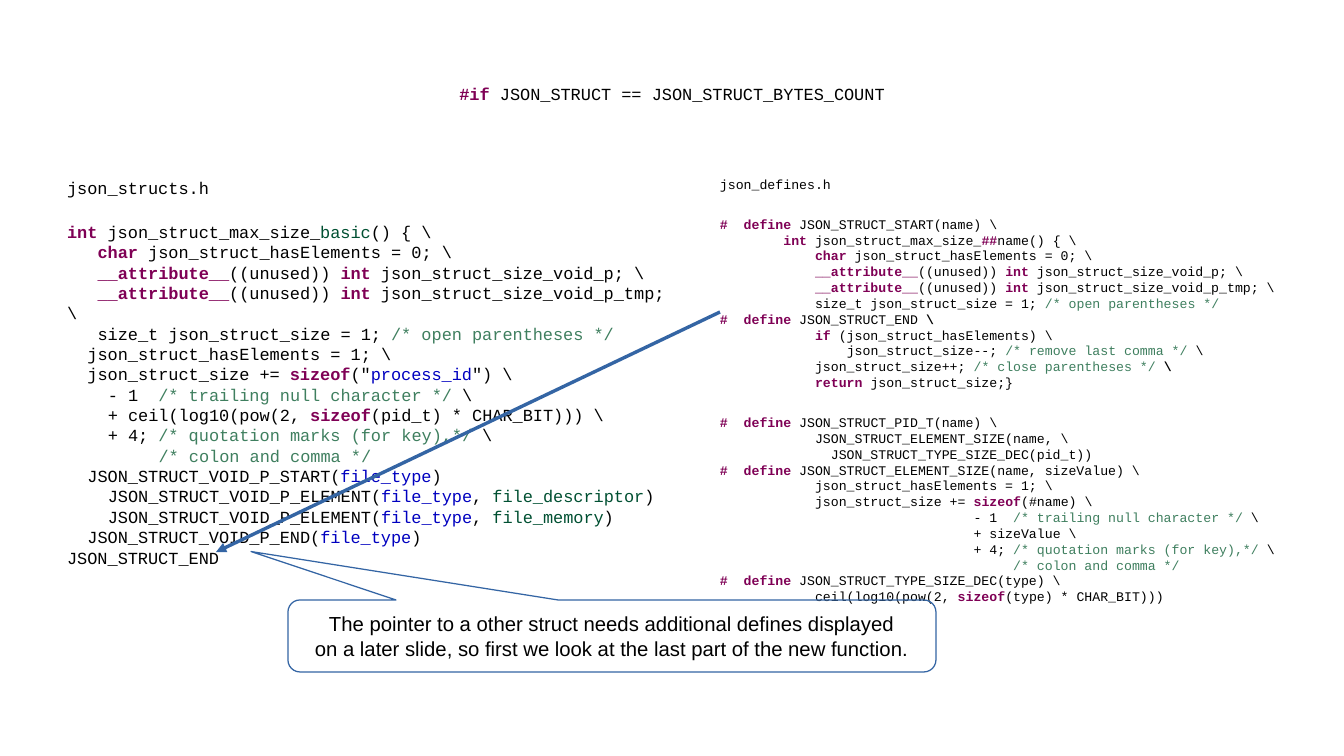
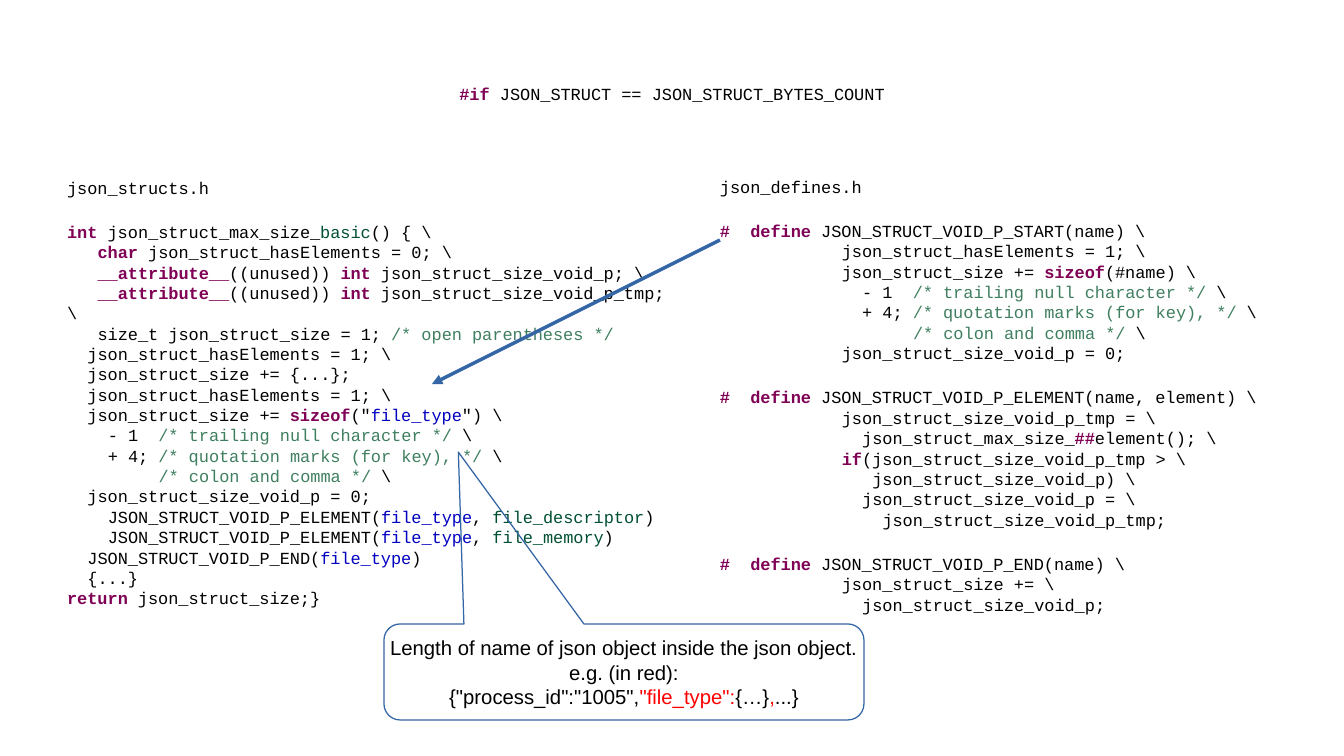
import dataclasses

import lxml.etree
import pptx
import pptx.dml.color
import pptx.enum.shapes
import pptx.enum.text
import pptx.oxml.ns
import pptx.util


@dataclasses.dataclass(frozen=True)
class Theme:
    ink: str = "000000"
    accent: str = "3465A4"
    code_font: str = "Courier New"
    note_font: str = "Arial"
    code_size: float = 10
    small_code_size: float = 7.8
    note_size: float = 12
    block_gap: float = 14.2
    mono_advance: float = 0.6
    corner: float = 0.167


@dataclasses.dataclass(frozen=True)
class Box:
    left: float
    top: float
    width: float
    height: float

    def point(self, across, down):
        return self.left + self.width * across, self.top + self.height * down

    def lengths(self):
        return [cells(n) for n in (self.left, self.top, self.width, self.height)]


THEME = Theme()
COLUMNS, ROWS = 28, 15.75
CELL = pptx.util.Cm(1)
TITLE_BOX = Box(1.4, 0.63, 25.2, 2.64)
STRUCTS_BOX = Box(1.4, 3.69, 12.6, 9.14)
DEFINES_BOX = Box(15, 3.67, 11.6, 9.14)

MARKS = {
    "`": ("7F0055", True),
    "@": ("0000C0", False),
    "^": ("005032", False),
    "~": ("3F7F5F", False),
    "$": (THEME.ink, True),
    "!": ("FF0000", False),
}

TITLE = "`#if` JSON_STRUCT == JSON_STRUCT_BYTES_COUNT"

FUNCTION_START = r"""json_structs.h

`int` json_struct_max_size_^basic^() { \
   `char` json_struct_hasElements = 0; \
   `__attribute__`((unused)) `int` json_struct_size_void_p; \
   `__attribute__`((unused)) `int` json_struct_size_void_p_tmp; \
   size_t json_struct_size = 1; ~/* open parentheses */~
  json_struct_hasElements = 1; \
"""

POINTER_ELEMENTS = r"""
    JSON_STRUCT_VOID_P_ELEMENT(@file_type@, ^file_descriptor^)
    JSON_STRUCT_VOID_P_ELEMENT(@file_type@, ^file_memory^)
  JSON_STRUCT_VOID_P_END(@file_type@)
"""

STRUCTS_PROCESS = FUNCTION_START + r"""  json_struct_size += `sizeof`("@process_id@") \
    - 1  ~/* trailing null character */~ \
    + ceil(log10(pow(2, `sizeof`(pid_t) * CHAR_BIT))) \
    + 4; ~/* quotation marks (for key),*/~ \
         ~/* colon and comma */~
  JSON_STRUCT_VOID_P_START(@file_type@)""" + POINTER_ELEMENTS + "JSON_STRUCT_END"

STRUCTS_FILE = FUNCTION_START + r"""  json_struct_size += {...};
  json_struct_hasElements = 1; \
  json_struct_size += `sizeof`("@file_type@") \
    - 1  ~/* trailing null character */~ \
    + 4; ~/* quotation marks (for key), */~ \
         ~/* colon and comma */~ \
  json_struct_size_void_p = 0;""" + POINTER_ELEMENTS + r"""  {...}
`return` json_struct_size;}"""

DEFINES_FILENAME = "json_defines.h"

DEFINE_START_END = r"""`#  define` JSON_STRUCT_START(name) \
        `int` json_struct_max_size_`##`name() { \
            `char` json_struct_hasElements = 0; \
            `__attribute__`((unused)) `int` json_struct_size_void_p; \
            `__attribute__`((unused)) `int` json_struct_size_void_p_tmp; \
            size_t json_struct_size = 1; ~/* open parentheses */~
`#  define` JSON_STRUCT_END $\$
            `if` (json_struct_hasElements) \
                json_struct_size--; ~/* remove last comma */~ \
            json_struct_size++; ~/* close parentheses */~ $\$
            `return` json_struct_size;}"""

DEFINE_PID = r"""`#  define` JSON_STRUCT_PID_T(name) \
            JSON_STRUCT_ELEMENT_SIZE(name, \
              JSON_STRUCT_TYPE_SIZE_DEC(pid_t))
`#  define` JSON_STRUCT_ELEMENT_SIZE(name, sizeValue) \
            json_struct_hasElements = 1; \
            json_struct_size += `sizeof`(#name) \
                                - 1  ~/* trailing null character */~ \
                                + sizeValue \
                                + 4; ~/* quotation marks (for key),*/~ \
                                     ~/* colon and comma */~
`#  define` JSON_STRUCT_TYPE_SIZE_DEC(type) \
            ceil(log10(pow(2, `sizeof`(type) * CHAR_BIT)))"""

DEFINE_POINTER_START = r"""`#  define` JSON_STRUCT_VOID_P_START(name) \
            json_struct_hasElements = 1; \
            json_struct_size += `sizeof`(#name) \
              - 1  ~/* trailing null character */~ \
              + 4; ~/* quotation marks (for key), */~ \
                   ~/* colon and comma */~ \
            json_struct_size_void_p = 0;"""

DEFINE_POINTER_ELEMENT = r"""`#  define` JSON_STRUCT_VOID_P_ELEMENT(name, element) \
            json_struct_size_void_p_tmp = \
              json_struct_max_size_`##`element(); \
            `if`(json_struct_size_void_p_tmp > \
               json_struct_size_void_p) \
              json_struct_size_void_p = \
                json_struct_size_void_p_tmp;"""

DEFINE_POINTER_END = r"""`#  define` JSON_STRUCT_VOID_P_END(name) \
            json_struct_size += \
              json_struct_size_void_p;"""

DEFINES_PROCESS = "\n\n".join([DEFINES_FILENAME, DEFINE_START_END, DEFINE_PID])
DEFINES_FILE = "\n\n".join([DEFINES_FILENAME, DEFINE_POINTER_START,
                            DEFINE_POINTER_ELEMENT, DEFINE_POINTER_END])

PROCESS_NOTE = """The pointer to a other struct needs additional defines displayed
on a later slide, so first we look at the last part of the new function."""

FILE_NOTE = """Length of name of json object inside the json object.
e.g. (in red):
{"process_id":"1005",!"file_type":!{…}!,!...}"""


def cells(count):
    return round(CELL * count)


def rgb(value):
    return pptx.dml.color.RGBColor.from_string(value)


def apply(target, values):
    for key, value in values.items():
        setattr(target, key, value)


def marked_pieces(line):
    mark, piece = None, ""
    for letter in line:
        if letter in MARKS:
            if piece:
                yield mark, piece
            mark, piece = (None if mark == letter else letter), ""
        else:
            piece += letter
    if piece:
        yield mark, piece


def write_line(paragraph, line, font, size):
    for mark, piece in marked_pieces(line):
        run = paragraph.add_run()
        run.text = piece
        color, bold = MARKS.get(mark, (THEME.ink, False))
        apply(run.font, {"name": font, "size": pptx.util.Pt(size), "bold": bold})
        run.font.color.rgb = rgb(color)


def write_text(frame, text, font, size, align):
    advance = size * THEME.mono_advance
    paragraph = None
    for block_number, block in enumerate(text.split("\n\n")):
        for line_number, line in enumerate(block.split("\n")):
            paragraph = frame.add_paragraph() if paragraph else frame.paragraphs[0]
            starts_block = block_number > 0 and line_number == 0
            gap = THEME.block_gap if starts_block else 0
            apply(paragraph, {"alignment": align, "space_before": pptx.util.Pt(gap)})
            code = line.lstrip(" ")
            depth = len(line) - len(code)
            if depth:
                properties = paragraph._p.get_or_add_pPr()
                properties.set("marL", "0")
                properties.set("indent", str(int(pptx.util.Pt(depth * advance))))
            write_line(paragraph, code, font, size)


def add_code(slide, box, text, size=THEME.code_size, centred=False):
    frame = slide.shapes.add_textbox(*box.lengths()).text_frame
    anchors, aligns = pptx.enum.text.MSO_ANCHOR, pptx.enum.text.PP_ALIGN
    apply(frame, {
        "word_wrap": True,
        "margin_left": 0, "margin_right": 0, "margin_top": 0, "margin_bottom": 0,
        "vertical_anchor": anchors.MIDDLE if centred else anchors.TOP,
    })
    align = aligns.CENTER if centred else aligns.LEFT
    write_text(frame, text, THEME.code_font, size, align)


def outline(shape):
    shape.line.color.rgb = rgb(THEME.accent)
    shape.line.width = 0


def add_arrow(slide, start, end):
    ends = [cells(n) for n in (*start, *end)]
    arrow = slide.shapes.add_connector(pptx.enum.shapes.MSO_CONNECTOR.STRAIGHT, *ends)
    outline(arrow)
    qn = pptx.oxml.ns.qn
    head = lxml.etree.SubElement(arrow.line._get_or_add_ln(), qn("a:tailEnd"))
    head.set("type", "triangle")
    lxml.etree.SubElement(arrow._element.spPr, qn("a:effectLst"))


def add_callout(slide, box, tip, text):
    kind = pptx.enum.shapes.MSO_SHAPE.ROUNDED_RECTANGULAR_CALLOUT
    callout = slide.shapes.add_shape(kind, *box.lengths())
    middle_x, middle_y = box.point(0.5, 0.5)
    callout.adjustments[0] = (tip[0] - middle_x) / box.width
    callout.adjustments[1] = (tip[1] - middle_y) / box.height
    callout.adjustments[2] = THEME.corner
    callout.shadow.inherit = False
    callout.fill.background()
    outline(callout)
    apply(callout.text_frame, {
        "word_wrap": False,
        "vertical_anchor": pptx.enum.text.MSO_ANCHOR.MIDDLE,
    })
    write_text(callout.text_frame, text, THEME.note_font, THEME.note_size,
               pptx.enum.text.PP_ALIGN.CENTER)


def add_code_slide(deck, structs, defines, defines_size, arrow, note):
    slide = deck.slides.add_slide(deck.slide_layouts[6])
    add_code(slide, TITLE_BOX, TITLE, centred=True)
    add_code(slide, STRUCTS_BOX, structs)
    add_code(slide, DEFINES_BOX, defines, defines_size)
    add_arrow(slide, *arrow)
    add_callout(slide, *note)


def main():
    deck = pptx.Presentation()
    apply(deck, {"slide_width": cells(COLUMNS), "slide_height": cells(ROWS)})
    edge = DEFINES_BOX.left
    add_code_slide(deck, STRUCTS_PROCESS, DEFINES_PROCESS, THEME.small_code_size,
                   ((edge, 6.5), (4.5, 11.5)),
                   (Box(6, 12.5, 13.5, 1.5), (5.23, 11.49), PROCESS_NOTE))
    add_code_slide(deck, STRUCTS_FILE, DEFINES_FILE, THEME.code_size,
                   ((edge, 5), (9, 8)),
                   (Box(8, 13, 10, 2), (9.55, 9.42), FILE_NOTE))
    deck.save("out.pptx")


if __name__ == "__main__":
    main()
